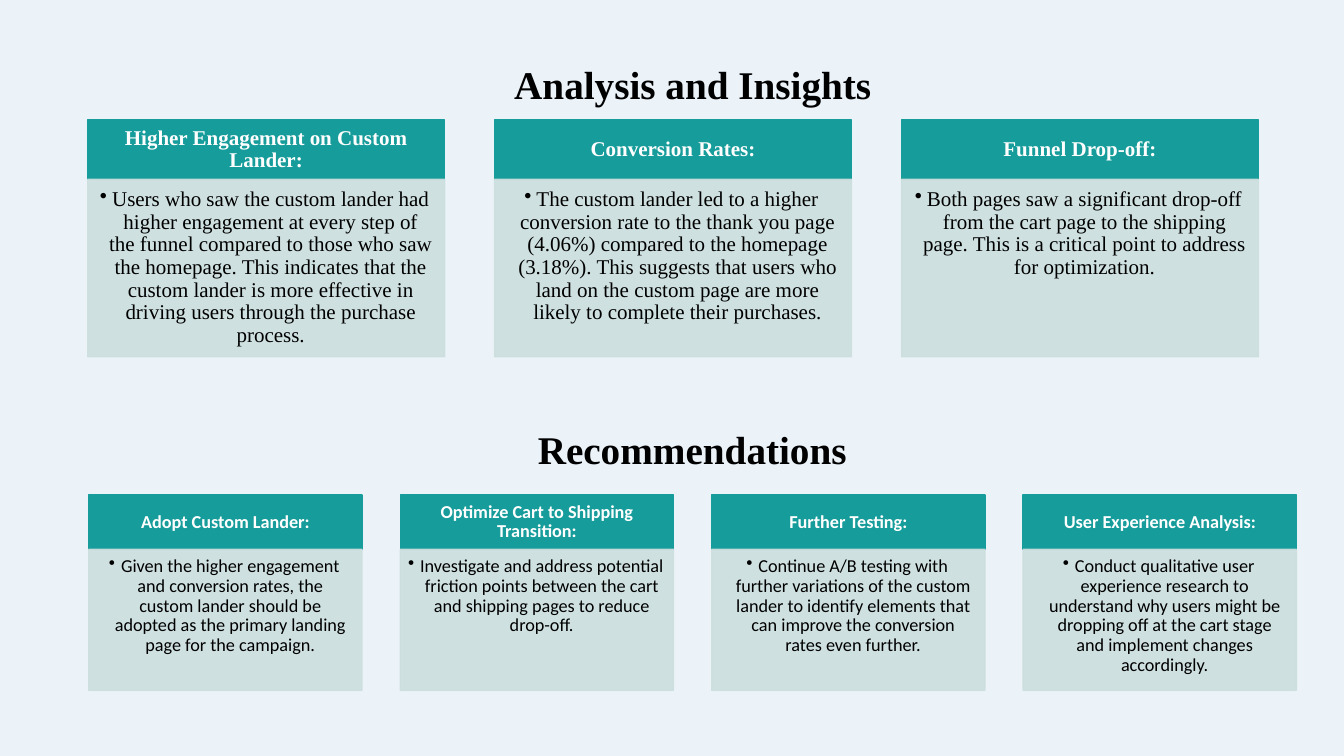
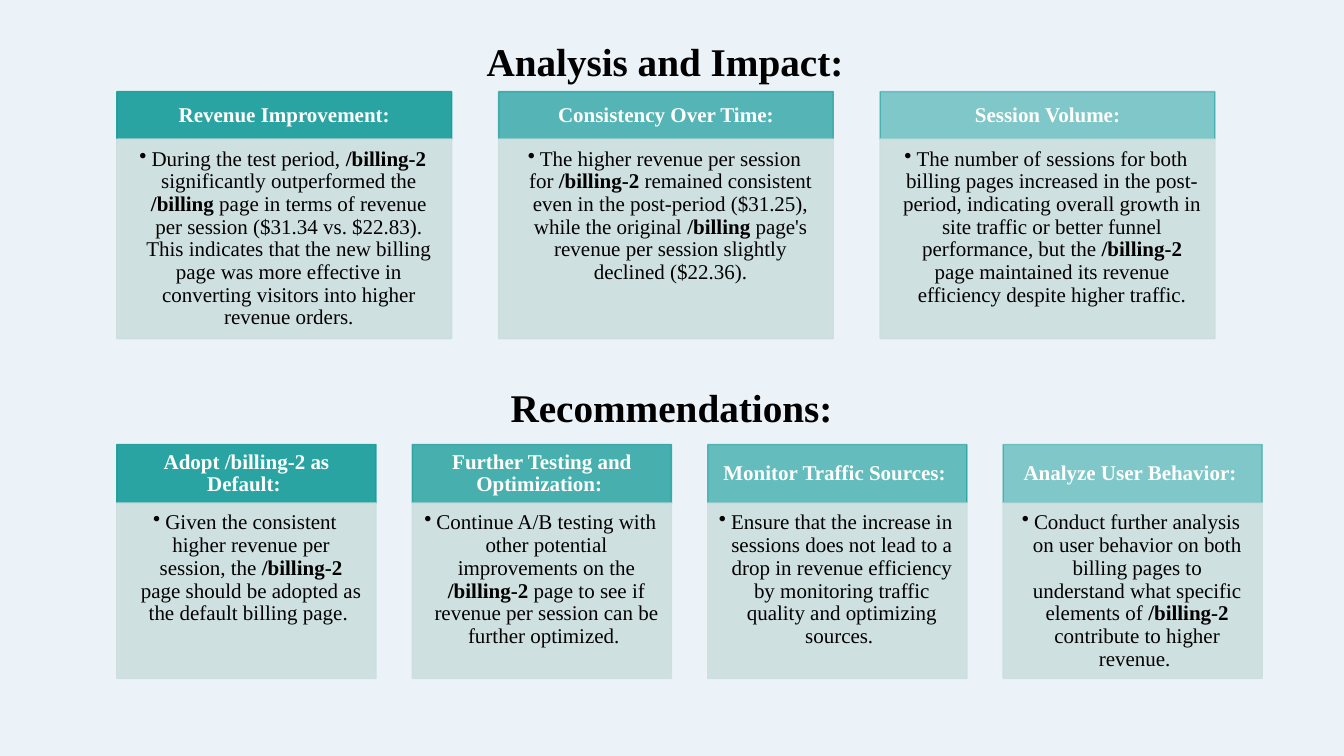
"""Build two slides of titled card rows: findings above, recommendations below."""
from dataclasses import dataclass

from lxml.etree import SubElement
from pptx import Presentation
from pptx.dml.color import RGBColor
from pptx.enum.shapes import MSO_SHAPE as SHAPE
from pptx.enum.text import MSO_ANCHOR as ANCHOR, MSO_AUTO_SIZE as AUTOSIZE, PP_ALIGN as ALIGN
from pptx.oxml.ns import qn
from pptx.util import Inches, Pt

SERIF, SANS = "Times New Roman", "Calibri"
BACK, TEAL, PALE, BLACK, WHITE = "EBF3F9", "169C9A", "CCDEDE", "000000", "FFFFFF"
GAP_SHARE = 0.14
TITLE_SIZE, TITLE_HEIGHT = 28, 0.57
BODY_ALPHA = 90
HEAD_INSETS = (0.56, 0.32, 0.56, 0.32)
BODY_INSETS = (0.42, 0.42, 0.56, 0.63)


@dataclass(frozen=True)
class Title:
    text: str
    left: float
    top: float
    width: float


@dataclass(frozen=True)
class Card:
    heading: str
    body: str


@dataclass(frozen=True)
class CardRow:
    title: Title
    left: float
    top: float
    width: float
    head_height: float
    body_height: float
    cards: tuple[Card, ...]
    font: str = SERIF
    size: int = 15
    alphas: tuple[float, float] = (100, 100)


SLIDES = (
    (
        CardRow(Title("Analysis and Insights", 4.3, 0.55, 5.14), 0.87, 1.19, 3.54, 0.59, 1.76, (
            Card("Higher Engagement on Custom Lander:",
                 "Users who saw the custom lander had higher engagement at every step of the funnel "
                 "compared to those who saw the homepage. This indicates that the custom lander is "
                 "more effective in driving users through the purchase process."),
            Card("Conversion Rates:",
                 "The custom lander led to a higher conversion rate to the thank you page (4.06%) "
                 "compared to the homepage (3.18%). This suggests that users who land on the custom "
                 "page are more likely to complete their purchases."),
            Card("Funnel Drop-off:",
                 "Both pages saw a significant drop-off from the cart page to the shipping page. "
                 "This is a critical point to address for optimization."),
        )),
        CardRow(Title("Recommendations", 3.92, 4.17, 5.89), 0.88, 4.91, 2.71, 0.54, 1.4, (
            Card("Adopt Custom Lander:",
                 "Given the higher engagement and conversion rates, the custom lander should be "
                 "adopted as the primary landing page for the campaign."),
            Card("Optimize Cart to Shipping Transition:",
                 "Investigate and address potential friction points between the cart and shipping "
                 "pages to reduce drop-off."),
            Card("Further Testing:",
                 "Continue A/B testing with further variations of the custom lander to identify "
                 "elements that can improve the conversion rates even further."),
            Card("User Experience Analysis:",
                 "Conduct qualitative user experience research to understand why users might be "
                 "dropping off at the cart stage and implement changes accordingly."),
        ), SANS, 13),
    ),
    (
        CardRow(Title("Analysis and Impact:", 3.26, 0.32, 6.67), 1.16, 0.91, 3.32, 0.47, 1.98, (
            Card("Revenue Improvement:",
                 "During the test period, **/billing-2** significantly outperformed the "
                 "**/billing** page in terms of revenue per session ($31.34 vs. $22.83). This "
                 "indicates that the new billing page was more effective in converting visitors "
                 "into higher revenue orders."),
            Card("Consistency Over Time:",
                 "The higher revenue per session for **/billing-2** remained consistent even in the "
                 "post-period ($31.25), while the original **/billing** page's revenue per session "
                 "slightly declined ($22.36)."),
            Card("Session Volume:",
                 "The number of sessions for both billing pages increased in the post-period, "
                 "indicating overall growth in site traffic or better funnel performance, but the "
                 "**/billing-2** page maintained its revenue efficiency despite higher traffic."),
        ), alphas=(90, 50)),
        CardRow(Title("Recommendations:", 4.32, 3.75, 4.68), 1.16, 4.41, 2.57, 0.58, 1.74, (
            Card("Adopt /billing-2 as Default: ",
                 "Given the consistent higher revenue per session, the **/billing-2** page should "
                 "be adopted as the default billing page. "),
            Card("Further Testing and Optimization: ",
                 "Continue A/B testing with other potential improvements on the **/billing-2** page "
                 "to see if revenue per session can be further optimized. "),
            Card("Monitor Traffic Sources: ",
                 "Ensure that the increase in sessions does not lead to a drop in revenue "
                 "efficiency by monitoring traffic quality and optimizing sources. "),
            Card("Analyze User Behavior: ",
                 "Conduct further analysis on user behavior on both billing pages to understand "
                 "what specific elements of **/billing-2** contribute to higher revenue. "),
        ), alphas=(90, 50)),
    ),
)


def rgb(code: str) -> RGBColor:
    return RGBColor.from_string(code)


def add_run(p, text: str, font: str, size: float, color: str, bold: bool) -> None:
    r = p.add_run()
    r.text = text
    r.font.name, r.font.size, r.font.bold = font, Pt(size), bold
    r.font.color.rgb = rgb(color)


def add_bullet(p) -> None:
    p.level = 1
    pPr = p._p.get_or_add_pPr()
    pPr.set("marL", str(Inches(0.12)))
    pPr.set("indent", str(-Inches(0.12)))
    SubElement(pPr, qn("a:buChar")).set("char", "•")


def add_panel(shapes, box: tuple[float, ...], color: str, alpha: float,
              insets: tuple[float, ...], size: int, anchor: ANCHOR):
    sp = shapes.add_shape(SHAPE.RECTANGLE, *map(Inches, box))
    sp.shadow.inherit = False
    sp.fill.solid()
    sp.fill.fore_color.rgb = sp.line.color.rgb = rgb(color)
    sp.line.width = Pt(1)
    if alpha < 100:
        for clr in sp._element.spPr.iter(qn("a:srgbClr")):
            SubElement(clr, qn("a:alpha")).set("val", str(round(alpha * 1000)))
    tf = sp.text_frame
    tf.word_wrap, tf.vertical_anchor = True, anchor
    tf.margin_left, tf.margin_top, tf.margin_right, tf.margin_bottom = (
        Pt(size * share) for share in insets)
    p = tf.paragraphs[0]
    p.alignment, p.line_spacing = ALIGN.CENTER, 0.9
    return p


def add_title(slide, title: Title) -> None:
    box = (title.left, title.top, title.width, TITLE_HEIGHT)
    tf = slide.shapes.add_textbox(*map(Inches, box)).text_frame
    tf.word_wrap, tf.auto_size = True, AUTOSIZE.SHAPE_TO_FIT_TEXT
    p = tf.paragraphs[0]
    p.alignment = ALIGN.CENTER
    add_run(p, title.text, SERIF, TITLE_SIZE, BLACK, True)


def add_row(slide, row: CardRow) -> None:
    shapes = slide.shapes.add_group_shape().shapes
    first, last = row.alphas
    step = (last - first) / (len(row.cards) - 1)
    for i, card in enumerate(row.cards):
        left = row.left + i * row.width * (1 + GAP_SHARE)
        head = (left, row.top, row.width, row.head_height)
        p = add_panel(shapes, head, TEAL, first + i * step, HEAD_INSETS, row.size, ANCHOR.MIDDLE)
        add_run(p, card.heading, row.font, row.size, WHITE, True)
        body = (left, row.top + row.head_height, row.width, row.body_height)
        p = add_panel(shapes, body, PALE, BODY_ALPHA, BODY_INSETS, row.size, ANCHOR.TOP)
        add_bullet(p)
        for j, part in enumerate(card.body.split("**")):
            add_run(p, part, row.font, row.size, BLACK, j % 2 == 1)
    add_title(slide, row.title)


def main() -> None:
    prs = Presentation()
    prs.slide_width, prs.slide_height = Inches(13.33), Inches(7.5)
    back = prs.slide_master.background.fill
    back.solid()
    back.fore_color.rgb = rgb(BACK)
    for rows in SLIDES:
        slide = prs.slides.add_slide(prs.slide_layouts[6])
        for row in rows:
            add_row(slide, row)
    prs.save("out.pptx")


if __name__ == "__main__":
    main()
